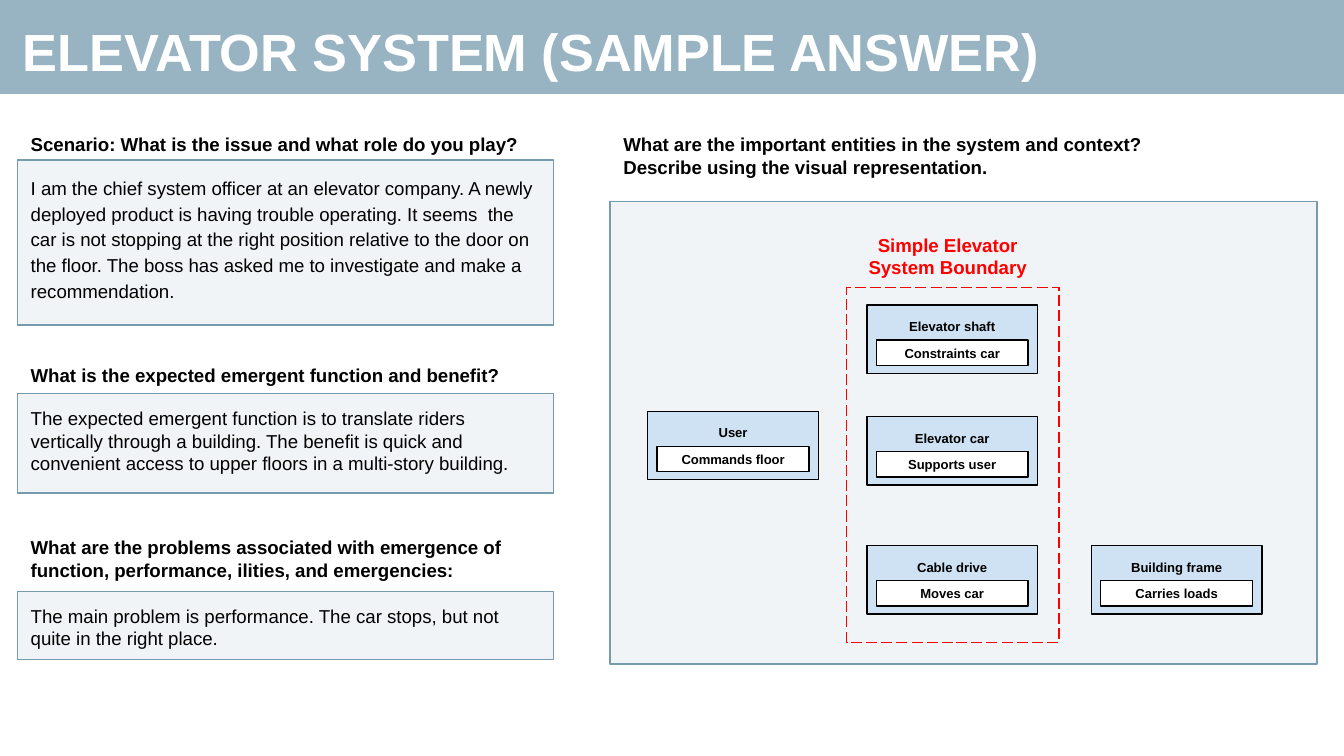
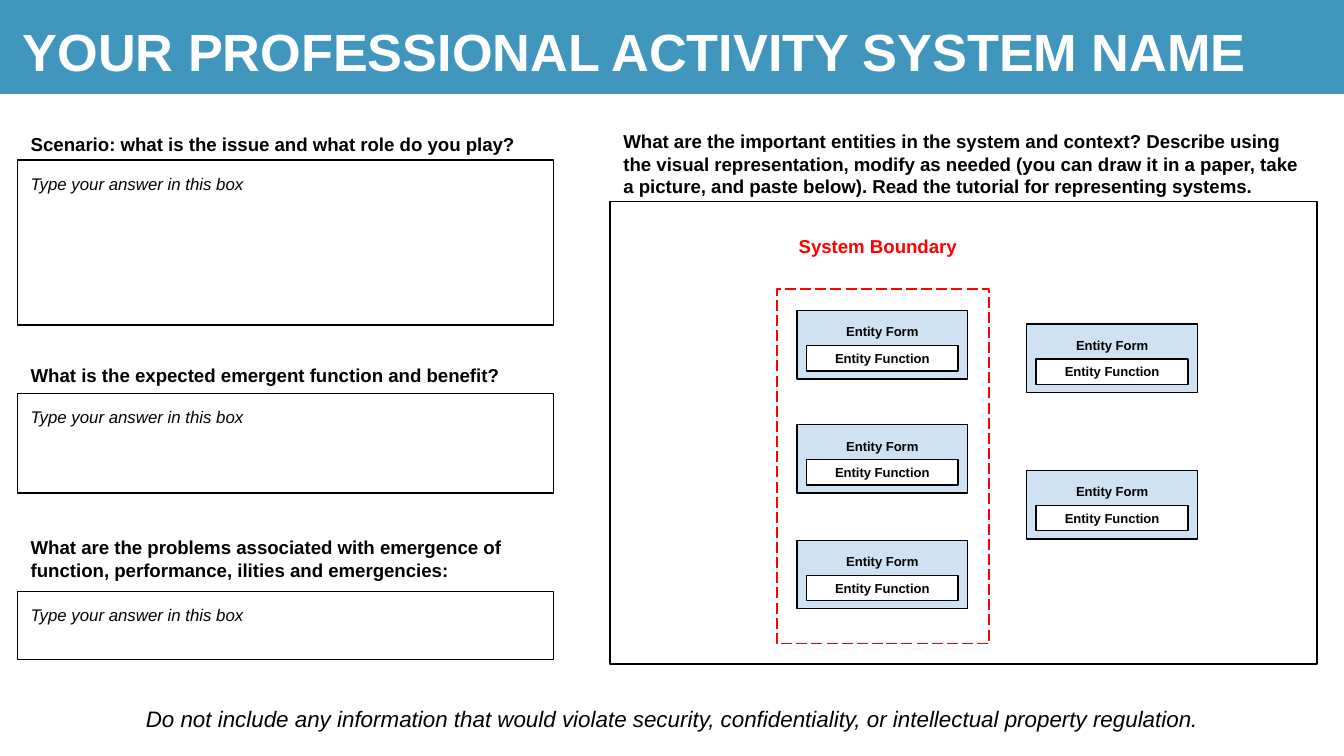
"""Builds a worked elevator example and its blank system worksheet."""
from dataclasses import dataclass

from lxml import etree
from pptx import Presentation
from pptx.dml.color import RGBColor
from pptx.enum import dml, shapes, text
from pptx.oxml.ns import qn
from pptx.util import Inches, Pt


@dataclass(frozen=True)
class Theme:
    """Colours, type sizes and line weight."""
    font: str = "Arial"
    slate: str = "769BAE"
    blue: str = "0174A6"
    pale: str = "CFE2F3"
    white: str = "FFFFFF"
    black: str = "000000"
    red: str = "FF0000"
    title: int = 28
    body: int = 10
    prompt: int = 9
    entity: int = 7
    footer: int = 12
    line: float = 0.75
    inset: float = 0.1


T = Theme()
CENTER = text.PP_ALIGN.CENTER

SIZE = (10, 10 * 9 / 16)
BAND = (0, 0, 10.02, 0.7)
LEFT, LEFT_W, HEADING_H = 0.13, 3.99, 0.42
PANEL = (4.54, 1.5, 5.26, 3.44)
SECTIONS = [(0.89, 1.19, 1.23), (2.61, 2.93, 0.74), (3.89, 4.4, 0.51)]
BOUNDARY_SIZE = (1.58, 2.64)
ENTITY_SIZE = (1.27, 0.51)
FUNCTION_SIZE = (1.13, 0.19)
FUNCTION_DX, FUNCTION_DY = 0.07, 0.26
COLUMN_DX = 0.15
LABEL_DX, LABEL_DY, LABEL_W = -0.41, -0.5, 2.32

PROMPT = "Type your answer in this box"
BLANK = ("Entity Form", "Entity Function")

SLIDES = [
    dict(
        title="ELEVATOR SYSTEM (SAMPLE ANSWER)", title_w=9.11,
        band=T.slate, box=dict(fill=T.slate, alpha=10, line=T.slate),
        answer=dict(size=T.body),
        sections=[
            ("Scenario: What is the issue and what role do you play?",
             "I am the chief system officer at an elevator company. A newly deployed product is "
             "having trouble operating. It seems  the car is not stopping at the right position "
             "relative to the door on the floor. The boss has asked me to investigate and make a "
             "recommendation.", 1.15),
            ("What is the expected emergent function and benefit?",
             "The expected emergent function is to translate riders vertically through a building. "
             "The benefit is quick and convenient access to upper floors in a multi-story "
             "building.", None),
            ("What are the problems associated with emergence of function, performance, ilities, "
             "and emergencies:",
             "The main problem is performance. The car stops, but not quite in the right place.",
             None),
        ],
        question=("What are the important entities in the system and context? Describe using the "
                  "visual representation.", (4.54, 0.89, 4.16, 0.44)),
        boundary=(6.3, 2.14), label="Simple Elevator\nSystem Boundary", label_h=0.44,
        inside=[(2.27, "Elevator shaft", "Constraints car"),
                (3.1, "Elevator car", "Supports user"),
                (4.06, "Cable drive", "Moves car")],
        outside=[(4.82, 3.06, "User", "Commands floor"),
                 (8.12, 4.06, "Building frame", "Carries loads")],
        footer=None,
    ),
    dict(
        title="YOUR PROFESSIONAL ACTIVITY SYSTEM NAME", title_w=9.73,
        band=T.blue, box=dict(fill=T.white, line=T.black),
        answer=dict(size=T.prompt, italic=True),
        sections=[
            ("Scenario: what is the issue and what role do you play?", PROMPT, None),
            ("What is the expected emergent function and benefit?", PROMPT, None),
            ("What are the problems associated with emergence of function, performance, ilities "
             "and emergencies:", PROMPT, None),
        ],
        question=("What are the important entities in the system and context? Describe using the "
                  "visual representation, modify as needed (you can draw it in a paper, take a "
                  "picture, and paste below). Read the tutorial for representing systems.",
                  (4.54, 0.87, 5.26, 0.6)),
        boundary=(5.78, 2.15), label="System Boundary", label_h=0.32,
        inside=[(y, *BLANK) for y in (2.31, 3.16, 4.02)],
        outside=[(7.64, y, *BLANK) for y in (2.41, 3.5)],
        footer="Do not include any information that would violate security, confidentiality, "
               "or intellectual property regulation.",
    ),
]


def write(sp, words, size, color=T.black, bold=False, italic=False, align=text.PP_ALIGN.LEFT,
          anchor=text.MSO_ANCHOR.TOP, spacing=None, inset_y=T.inset):
    """Fills a shape with formatted text."""
    tf = sp.text_frame
    tf.text = words
    tf.word_wrap = True
    tf.auto_size = text.MSO_AUTO_SIZE.NONE
    tf.vertical_anchor = anchor
    tf.margin_left = tf.margin_right = Inches(T.inset)
    tf.margin_top = tf.margin_bottom = Inches(inset_y)
    for p in tf.paragraphs:
        p.alignment = align
        if spacing:
            p.line_spacing = spacing
        for r in p.runs:
            f = r.font
            f.name, f.size, f.bold, f.italic = T.font, Pt(size), bold, italic
            f.color.rgb = RGBColor.from_string(color)


def add_box(s, at, fill=None, alpha=None, line=None):
    """Adds a flat rectangle."""
    sp = s.shapes.add_shape(shapes.MSO_SHAPE.RECTANGLE, *map(Inches, at))
    sp.shadow.inherit = False
    if fill:
        sp.fill.solid()
        sp.fill.fore_color.rgb = RGBColor.from_string(fill)
        if alpha:
            clr = sp.element.spPr.find(".//" + qn("a:srgbClr"))
            etree.SubElement(clr, qn("a:alpha"), val=str(alpha * 1000))
    else:
        sp.fill.background()
    if line:
        sp.line.color.rgb = RGBColor.from_string(line)
        sp.line.width = Pt(T.line)
    else:
        sp.line.fill.background()
    return sp


def add_text(s, at, words, size, **style):
    """Adds a text box."""
    write(s.shapes.add_textbox(*map(Inches, at)), words, size, **style)


def add_title(s, words, width, color):
    """Lays the band under the title placeholder."""
    band = add_box(s, BAND, color, 75)
    title = s.shapes.title
    title.left, title.top, title.width, title.height = map(Inches, (0.07, 0.04, width, 0.63))
    write(title, words, T.title, color=T.white, bold=True)
    band.element.addnext(title.element)


def add_entity(s, x, y, form, function):
    """Draws an entity form with its function inside."""
    style = dict(size=T.entity, bold=True, align=CENTER)
    write(add_box(s, (x, y, *ENTITY_SIZE), T.pale, line=T.black), form, **style)
    inner = (x + FUNCTION_DX, y + FUNCTION_DY, *FUNCTION_SIZE)
    write(add_box(s, inner, T.white, line=T.black), function,
          anchor=text.MSO_ANCHOR.MIDDLE, **style)


def add_diagram(s, d):
    """Draws the panel, system boundary and entities."""
    add_box(s, PANEL, **d["box"])
    x, y = d["boundary"]
    boundary = add_box(s, (x, y, *BOUNDARY_SIZE), line=T.red)
    boundary.line.dash_style = dml.MSO_LINE.LONG_DASH
    add_text(s, (x + LABEL_DX, y + LABEL_DY, LABEL_W, d["label_h"]), d["label"], T.body,
             color=T.red, bold=True, align=CENTER)
    for top, form, function in d["inside"]:
        add_entity(s, x + COLUMN_DX, top, form, function)
    for entity in d["outside"]:
        add_entity(s, *entity)


def build_slide(prs, d):
    """Builds one worksheet slide."""
    s = prs.slides.add_slide(prs.slide_layouts[5])
    add_title(s, d["title"], d["title_w"], d["band"])
    for (head_y, box_y, box_h), (heading, answer, spacing) in zip(SECTIONS, d["sections"]):
        sp = add_box(s, (LEFT, box_y, LEFT_W, box_h), **d["box"])
        write(sp, answer, spacing=spacing, **d["answer"])
        add_text(s, (LEFT, head_y, LEFT_W, HEADING_H), heading, T.body, bold=True)
    question, at = d["question"]
    add_text(s, at, question, T.body, bold=True)
    add_diagram(s, d)
    if d["footer"]:
        add_text(s, (0.45, 5.2, 9.11, 0.3), d["footer"], T.footer, italic=True,
                 align=CENTER, inset_y=0.05)


def main():
    """Builds and saves the deck."""
    prs = Presentation()
    prs.slide_width, prs.slide_height = map(Inches, SIZE)
    for d in SLIDES:
        build_slide(prs, d)
    prs.save("out.pptx")


if __name__ == "__main__":
    main()
